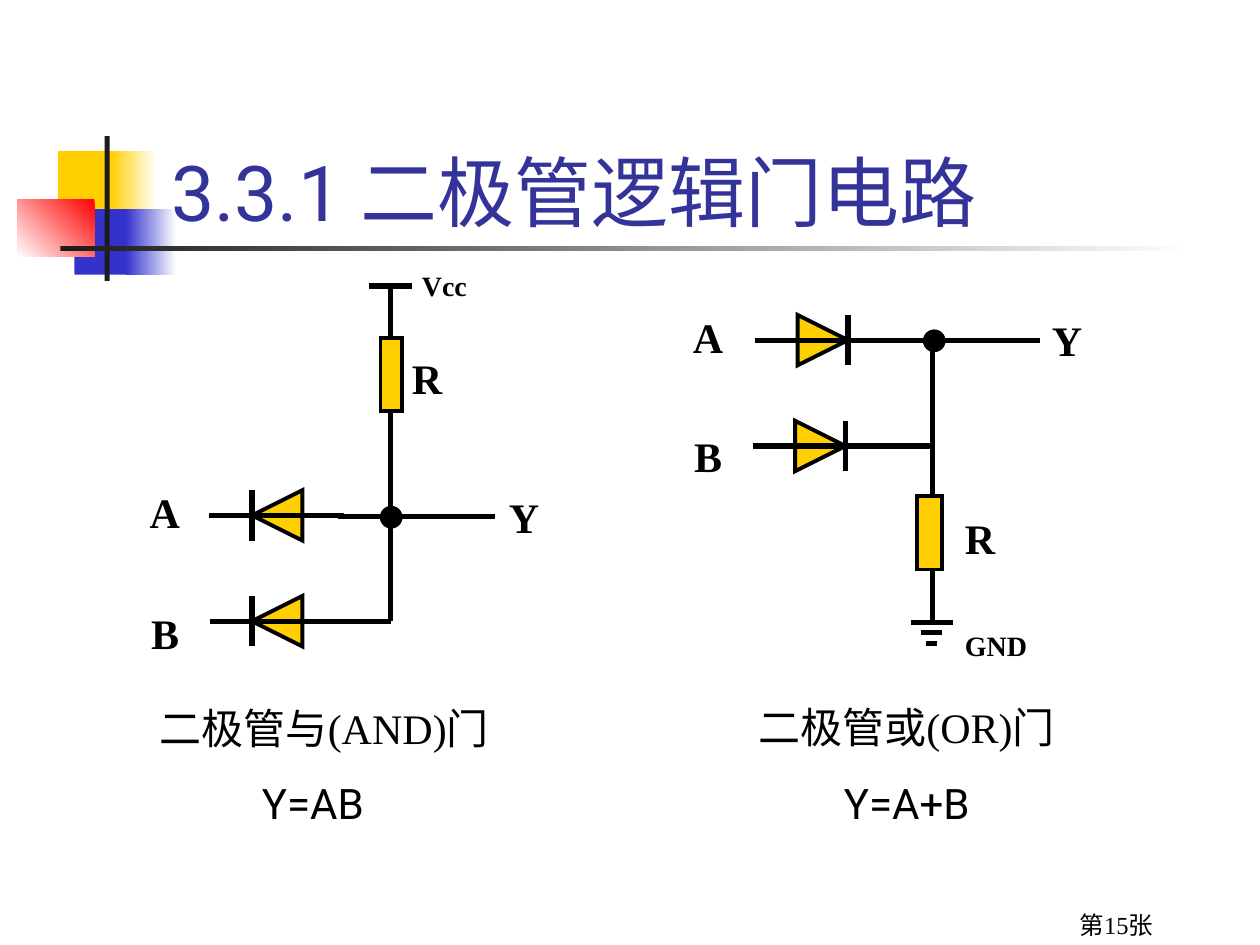
from lxml.etree import SubElement
from pptx import Presentation
from pptx.dml.color import RGBColor
from pptx.enum.shapes import MSO_CONNECTOR, MSO_SHAPE as Preset
from pptx.enum.text import MSO_ANCHOR as Anchor, PP_ALIGN as Align
from pptx.oxml.ns import qn
from pptx.util import Inches, Pt

THEME = {
    "yellow": "FFCF01", "blue": "3333CC", "red": "FF0000", "white": "FFFFFF",
    "ink": "1C1C1C", "title": "333399", "black": "000000",
    "serif": "Times New Roman", "sans": "Roboto",
    "title_size": 44, "body_size": 24, "small_size": 16, "page_size": 14,
    "wire": 3, "outline": 2.25, "dot_outline": 0.75,
}
DIODE = 0.4
DOT = 0.17

# Master decoration: box, colour, fade angle (None = solid)
DECORATION = [
    ((0.46, 1.2, 0.48, 0.52), "yellow", None),
    ((0.88, 1.2, 0.36, 0.52), "yellow", 0),
    ((0.59, 1.66, 0.46, 0.52), "blue", None),
    ((1, 1.66, 0.4, 0.52), "blue", 0),
    ((0.14, 1.58, 0.61, 0.46), "red", 225),
    ((0.83, 1.08, 0.04, 1.15), "ink", None),
    ((0.48, 1.95, 9, 0.04), "ink", 0),
]

TITLE = ("3.3.1 二极管逻辑门电路", (1.26, 0.92, 8.52, 1.01))
PAGE = ("第15张", (7.17, 7.17, 2.08, 0.33))

# Diodes: cathode x, y, direction of the cathode (-1 left, 1 right), cathode end, anode end
# Wires: x1, y1, x2, y2;  labels: text, box
AND_GATE = {
    "diodes": [(2, 4.09, -1, 1.66, 2.73), (2, 4.93, -1, 1.67, 2.74)],
    "resistor": (3.02, 2.68, 0.17, 0.58),
    "wires": [
        (3.1, 3.27, 3.1, 4.93), (2.68, 4.1, 3.93, 4.1), (2.68, 4.93, 3.1, 4.93),
        (3.1, 2.68, 3.1, 2.27), (2.93, 2.27, 3.27, 2.27),
    ],
    "node": (3.02, 4.02),
    "terminals": [
        ("A", (1.09, 3.81, 0.44, 0.5)), ("B", (1.1, 4.77, 0.42, 0.5)),
        ("Y", (3.94, 3.85, 0.44, 0.5)), ("R", (3.17, 2.75, 0.44, 0.5)),
    ],
    "supply": ("Vcc", (3.25, 2.08, 0.65, 0.37)),
    "caption": ("二极管与(AND)门", (1.17, 5.53, 2.97, 0.5)),
    "formula": ("Y=AB", (1.98, 6.12, 1.01, 0.5)),
}
OR_GATE = {
    "diodes": [(6.73, 2.7, 1, 7.06, 5.99), (6.71, 3.54, 1, 7.05, 5.98)],
    "resistor": (7.28, 3.94, 0.2, 0.58),
    "wires": [
        (7.4, 2.77, 7.4, 3.52), (7, 2.7, 8.25, 2.7), (7, 3.54, 7.41, 3.54),
        (7.4, 3.94, 7.4, 3.52), (7.4, 4.94, 7.4, 4.52), (7.23, 4.94, 7.56, 4.94),
        (7.31, 5.02, 7.48, 5.02), (7.35, 5.11, 7.44, 5.11),
    ],
    "node": (7.33, 2.62),
    "terminals": [
        ("A", (5.4, 2.42, 0.44, 0.5)), ("B", (5.41, 3.37, 0.42, 0.5)),
        ("Y", (8.25, 2.45, 0.44, 0.5)), ("R", (7.56, 4.02, 0.44, 0.5)),
    ],
    "supply": ("GND", (7.56, 4.94, 0.75, 0.37)),
    "caption": ("二极管或(OR)门", (5.92, 5.52, 2.71, 0.5)),
    "formula": ("Y=A+B", (6.6, 6.12, 1.2, 0.5)),
}


def colour(name):
    return RGBColor.from_string(THEME[name])


def add_block(shapes, preset, box, fill, outline=None, fade=None, rotation=0):
    block = shapes.add_shape(preset, *map(Inches, box))
    block.shadow.inherit = False
    block.rotation = rotation
    if fade is None:
        block.fill.solid()
        block.fill.fore_color.rgb = colour(fill)
    else:
        block.fill.gradient()
        block.fill.gradient_angle = fade
        for stop, name in zip(block.fill.gradient_stops, (fill, "white")):
            stop.color.rgb = colour(name)
    if outline:
        block.line.color.rgb = colour("black")
        block.line.width = Pt(THEME[outline])
        SubElement(block.line._get_or_add_ln(), qn("a:miter"), lim="800000")
    else:
        block.line.fill.background()


def add_wire(shapes, *ends):
    wire = shapes.add_connector(MSO_CONNECTOR.STRAIGHT, *map(Inches, ends))
    wire.line.color.rgb = colour("black")
    wire.line.width = Pt(THEME["wire"])
    SubElement(wire._element.spPr, qn("a:effectLst"))


def add_text(shapes, text, box, size="body_size", font="serif", ink="black",
             bold=False, wrap=False, align=Align.LEFT, anchor=Anchor.TOP):
    frame = shapes.add_textbox(*map(Inches, box)).text_frame
    frame.word_wrap = wrap
    frame.vertical_anchor = anchor
    line = frame.paragraphs[0]
    line.alignment = align
    run = line.add_run()
    run.text = text
    run.font.size = Pt(THEME[size])
    run.font.name = THEME[font]
    run.font.bold = bold
    run.font.color.rgb = colour(ink)


def add_diode(shapes, cathode, y, direction, cathode_end, anode_end):
    top = y - DIODE / 2
    left = cathode - DIODE if direction > 0 else cathode
    add_wire(shapes, cathode, top, cathode, top + DIODE)
    add_block(shapes, Preset.ISOSCELES_TRIANGLE, (left, top, DIODE, DIODE),
              "yellow", "outline", rotation=90 * direction % 360)
    add_wire(shapes, cathode, y, anode_end, y)
    add_wire(shapes, cathode_end, y, cathode, y)


def add_gate(slide, gate):
    shapes = slide.shapes.add_group_shape().shapes
    for diode in gate["diodes"]:
        add_diode(shapes, *diode)
    add_block(shapes, Preset.RECTANGLE, gate["resistor"], "yellow", "outline")
    for wire in gate["wires"]:
        add_wire(shapes, *wire)
    add_block(shapes, Preset.OVAL, (*gate["node"], DOT, DOT), "black", "dot_outline")
    for terminal in gate["terminals"]:
        add_text(shapes, *terminal, bold=True)
    add_text(shapes, *gate["supply"], size="small_size", bold=True)
    add_text(shapes, *gate["caption"])
    add_text(shapes, *gate["formula"], font="sans")


def main():
    deck = Presentation()
    deck.slide_width, deck.slide_height = Inches(10), Inches(7.5)
    slide = deck.slides.add_slide(deck.slide_layouts[6])

    # Decoration and title
    for box, fill, fade in DECORATION:
        add_block(slide.shapes, Preset.RECTANGLE, box, fill, fade=fade)
    add_text(slide.shapes, *TITLE, size="title_size", font="sans", ink="title",
             wrap=True, anchor=Anchor.BOTTOM)

    # Circuits
    for gate in (AND_GATE, OR_GATE):
        add_gate(slide, gate)

    # Page number
    add_text(slide.shapes, *PAGE, size="page_size", wrap=True, align=Align.RIGHT)
    deck.save("out.pptx")


if __name__ == "__main__":
    main()
